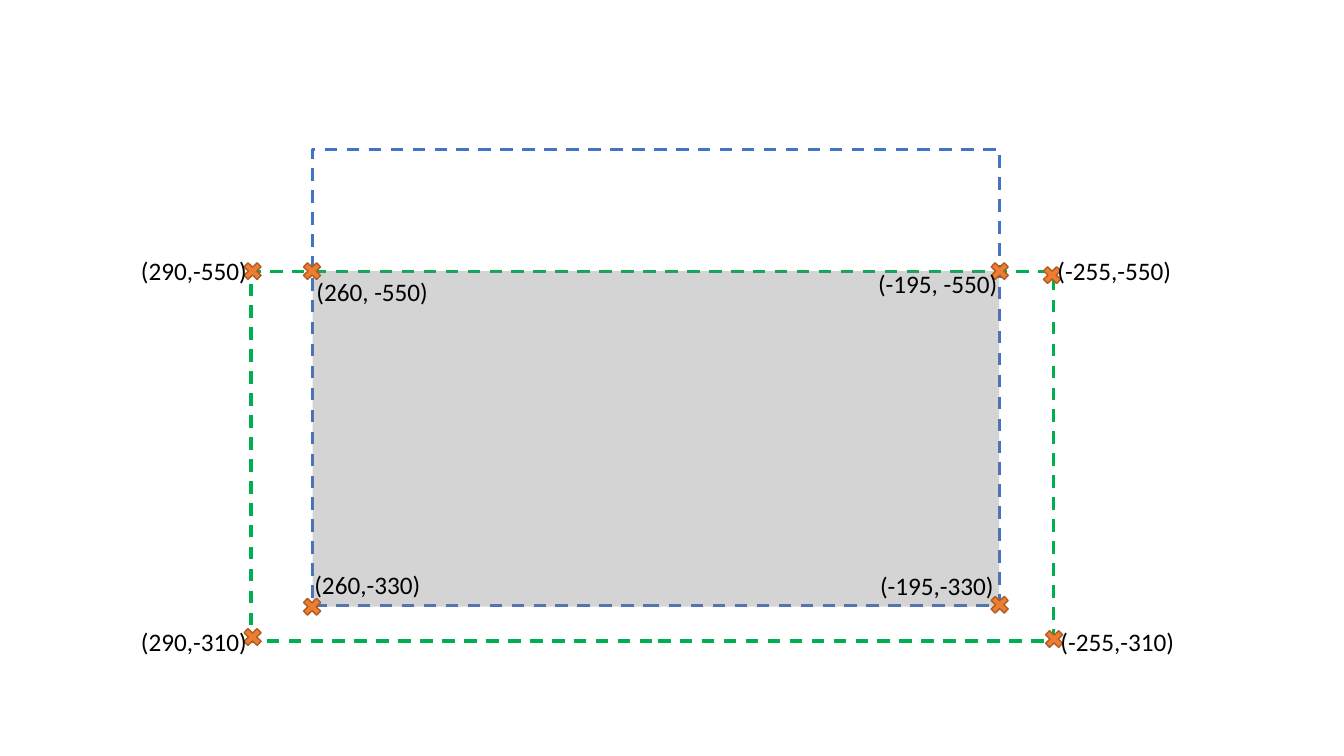
from dataclasses import dataclass

from lxml.etree import SubElement
from pptx import Presentation
from pptx.dml.color import RGBColor
from pptx.enum.dml import MSO_LINE
from pptx.enum.shapes import MSO_SHAPE
from pptx.enum.text import MSO_AUTO_SIZE
from pptx.oxml.ns import qn
from pptx.shapes.autoshape import Shape
from pptx.slide import Slide
from pptx.util import Inches, Pt

BLUE = RGBColor(0x44, 0x72, 0xC4)
GREEN = RGBColor(0x00, 0xB0, 0x50)
GRAY = RGBColor(0x7C, 0x7C, 0x7C)
ORANGE = RGBColor(0xED, 0x7D, 0x31)
BROWN = RGBColor(0xAF, 0x5C, 0x24)
BLACK = RGBColor(0x00, 0x00, 0x00)

MARKER_WIDTH = 0.25
MARKER_HEIGHT = 0.24
LABEL_HEIGHT = 0.4


@dataclass(frozen=True)
class Box:
    left: float
    top: float
    width: float
    height: float


@dataclass(frozen=True)
class Corner:
    text: str
    marker_left: float
    marker_top: float
    label: Box
    wrap: bool


BLUE_FRAME = Box(3.1, 1.48, 6.81, 4.53)
GREEN_FRAME = Box(2.49, 2.69, 7.96, 3.67)
OVERLAP = Box(3.1, 2.69, 6.81, 3.33)

CORNERS = [
    Corner("(290,-550)", 2.38, 2.57, Box(1.3, 2.48, 1.26, LABEL_HEIGHT), False),
    Corner("(290,-310)", 2.38, 6.2, Box(1.3, 6.16, 1.26, LABEL_HEIGHT), False),
    Corner("(260, -550)", 2.97, 2.57, Box(3.04, 2.69, 1.34, LABEL_HEIGHT), True),
    Corner("(260,-330)", 2.97, 5.9, Box(3.02, 5.6, 1.34, LABEL_HEIGHT), True),
    Corner("(-195, -550)", 9.79, 2.57, Box(8.61, 2.61, 1.39, LABEL_HEIGHT), True),
    Corner("(-255,-550)", 10.31, 2.61, Box(10.39, 2.48, 1.34, LABEL_HEIGHT), False),
    Corner("(-195,-330)", 9.79, 5.88, Box(8.63, 5.61, 1.34, LABEL_HEIGHT), True),
    Corner("(-255,-310)", 10.33, 6.22, Box(10.42, 6.16, 1.34, LABEL_HEIGHT), False),
]


def add_plain_shape(slide: Slide, kind: MSO_SHAPE, box: Box) -> Shape:
    shape = slide.shapes.add_shape(
        kind, Inches(box.left), Inches(box.top), Inches(box.width), Inches(box.height)
    )
    shape.shadow.inherit = False
    return shape


def add_dashed_frame(slide: Slide, box: Box, color: RGBColor) -> None:
    shape = add_plain_shape(slide, MSO_SHAPE.RECTANGLE, box)
    shape.fill.background()
    shape.line.color.rgb = color
    shape.line.width = Pt(2.25)
    shape.line.dash_style = MSO_LINE.DASH


def add_overlap(slide: Slide, box: Box, opacity_percent: int) -> None:
    shape = add_plain_shape(slide, MSO_SHAPE.RECTANGLE, box)
    shape.fill.solid()
    shape.fill.fore_color.rgb = GRAY
    shape.line.fill.background()
    color = shape.fill._xPr.find(qn("a:solidFill")).find(qn("a:srgbClr"))
    SubElement(color, qn("a:alpha")).set("val", str(opacity_percent * 1000))


def add_marker(slide: Slide, corner: Corner) -> None:
    box = Box(corner.marker_left, corner.marker_top, MARKER_WIDTH, MARKER_HEIGHT)
    shape = add_plain_shape(slide, MSO_SHAPE.MATH_MULTIPLY, box)
    shape.fill.solid()
    shape.fill.fore_color.rgb = ORANGE
    shape.line.color.rgb = BROWN
    shape.line.width = Pt(1)


def add_label(slide: Slide, corner: Corner) -> None:
    box = corner.label
    shape = slide.shapes.add_textbox(
        Inches(box.left), Inches(box.top), Inches(box.width), Inches(box.height)
    )
    text_frame = shape.text_frame
    text_frame.word_wrap = corner.wrap
    text_frame.auto_size = MSO_AUTO_SIZE.SHAPE_TO_FIT_TEXT
    run = text_frame.paragraphs[0].add_run()
    run.text = corner.text
    run.font.name = "Calibri"
    run.font.size = Pt(18)
    run.font.color.rgb = BLACK


def main() -> None:
    presentation = Presentation()
    presentation.slide_width = Inches(13.33)
    presentation.slide_height = Inches(7.5)
    slide = presentation.slides.add_slide(presentation.slide_layouts[6])
    add_dashed_frame(slide, BLUE_FRAME, BLUE)
    add_dashed_frame(slide, GREEN_FRAME, GREEN)
    add_overlap(slide, OVERLAP, 32)
    for corner in CORNERS:
        add_marker(slide, corner)
        add_label(slide, corner)
    presentation.save("out.pptx")


if __name__ == "__main__":
    main()
